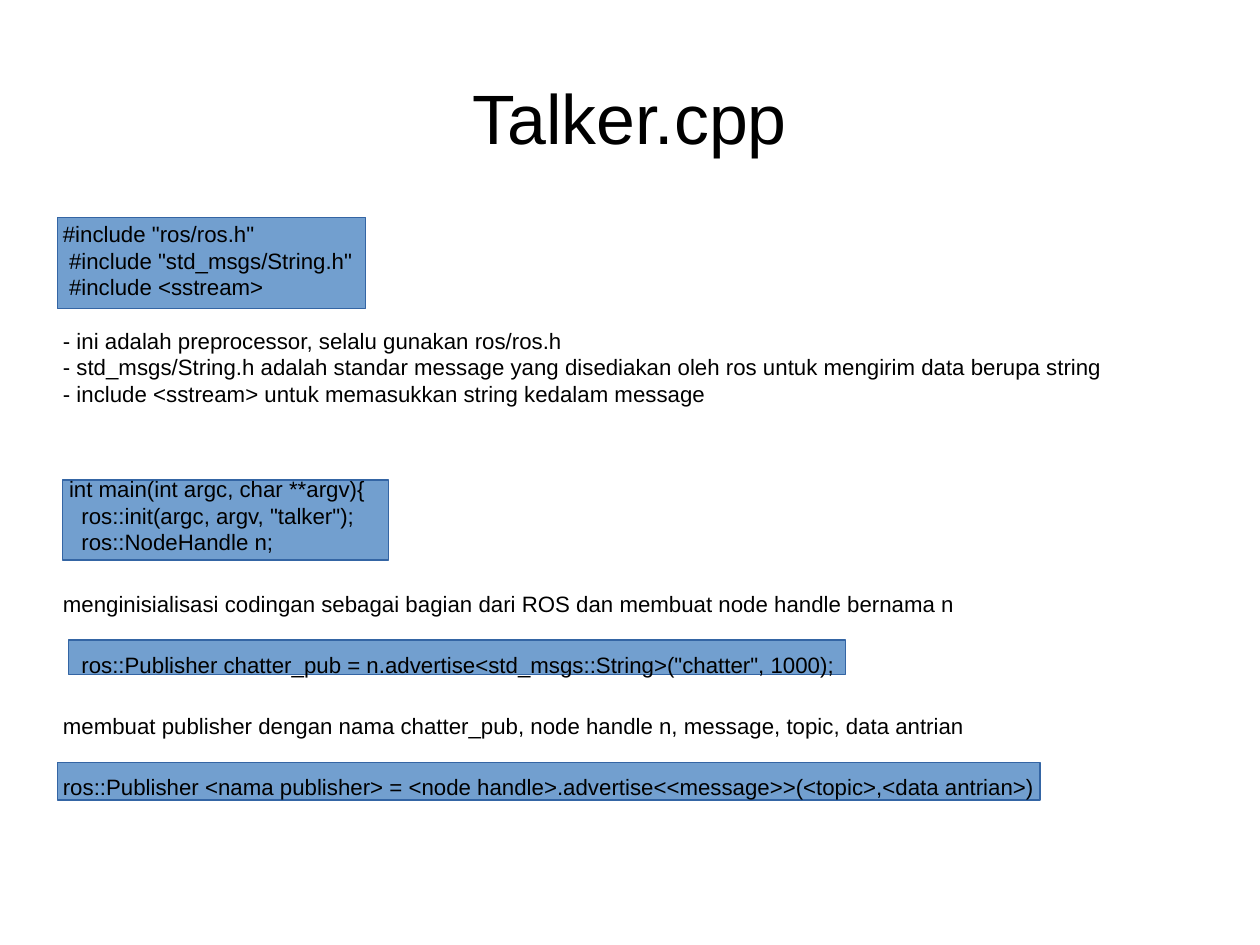
from dataclasses import dataclass

from pptx import Presentation
from pptx import util as u
from pptx.dml.color import RGBColor
from pptx.enum import shapes, text

COLORS = {"ink": "000000", "fill": "729FCF", "line": "3465A4", "page": "FFFFFF"}
FONT = "Arial"
CELL = 0.05  # inches per grid column and row
LINE = 16.75  # points per text line
GAP = 21.7  # points between code and explanation
SPACE = 3.89  # points per indent step of code


@dataclass
class Area:
    column: float
    row: float
    columns: float
    rows: float

    def box(self) -> list[int]:
        return [u.Inches(cells * CELL)
                for cells in (self.column, self.row, self.columns, self.rows)]


@dataclass
class Block:
    lines: list[str]
    indents: list[int]
    gap: float = GAP


TITLE = Area(11, 6.6, 198.4, 27.6)
BODY = Area(11, 38.6, 198.4, 95.8)

HIGHLIGHTS = [
    Area(10, 38, 54, 16),
    Area(11, 84, 57, 14),
    Area(12, 112, 136, 6),
    Area(10, 133.4, 172, 6.6),
]

BLOCKS = [
    Block(['#include "ros/ros.h"',
           '#include "std_msgs/String.h"',
           '#include <sstream>'], [0, 1, 1], gap=0),
    Block(["- ini adalah preprocessor, selalu gunakan ros/ros.h",
           "- std_msgs/String.h adalah standar message yang disediakan oleh ros "
           "untuk mengirim data berupa string",
           "- include <sstream> untuk memasukkan string kedalam message"],
          [0, 0, 0], gap=LINE),
    Block(["int main(int argc, char **argv){",
           'ros::init(argc, argv, "talker");',
           "ros::NodeHandle n;"], [1, 3, 3], gap=2 * GAP),
    Block(["menginisialisasi codingan sebagai bagian dari ROS dan membuat "
           "node handle bernama n"], [0]),
    Block(['ros::Publisher chatter_pub = '
           'n.advertise<std_msgs::String>("chatter", 1000);'], [3]),
    Block(["membuat publisher dengan nama chatter_pub, node handle n, message, "
           "topic, data antrian"], [0]),
    Block(["ros::Publisher <nama publisher> = "
           "<node handle>.advertise<<message>>(<topic>,<data antrian>)"], [0]),
]


def color(name: str) -> RGBColor:
    return RGBColor.from_string(COLORS[name])


def write(paragraph, words: str, *, size: float, align=text.PP_ALIGN.LEFT,
          before: float = 0, indent: float = 0, line: float | None = None) -> None:
    run = paragraph.add_run()
    run.text = words
    run.font.name = FONT
    run.font.size = u.Pt(size)
    run.font.color.rgb = color("ink")
    paragraph.alignment = align
    paragraph.space_before = u.Pt(before)
    paragraph.space_after = u.Pt(0)
    if line:
        paragraph.line_spacing = u.Pt(line)
    if indent:
        paragraph._p.get_or_add_pPr().set("marL", str(u.Pt(indent)))


def set_frame(frame, anchor) -> None:
    frame.margin_left = frame.margin_right = 0
    frame.margin_top = frame.margin_bottom = 0
    frame.word_wrap = True
    frame.auto_size = text.MSO_AUTO_SIZE.NONE
    frame.vertical_anchor = anchor


def add_title(slide, words: str) -> None:
    title = slide.shapes.title
    title.left, title.top, title.width, title.height = TITLE.box()
    set_frame(title.text_frame, text.MSO_ANCHOR.MIDDLE)
    write(title.text_frame.paragraphs[0], words, size=44,
          align=text.PP_ALIGN.CENTER)


def add_highlight(slide, area: Area) -> None:
    shape = slide.shapes.add_shape(shapes.MSO_SHAPE.RECTANGLE, *area.box())
    shape.shadow.inherit = False
    shape.fill.solid()
    shape.fill.fore_color.rgb = color("fill")
    shape.line.color.rgb = color("line")
    shape.line.width = u.Pt(0.75)


def add_body(slide, blocks: list[Block]) -> None:
    frame = slide.shapes.add_textbox(*BODY.box()).text_frame
    set_frame(frame, text.MSO_ANCHOR.TOP)
    paragraph = frame.paragraphs[0]
    for block in blocks:
        for number, (words, steps) in enumerate(zip(block.lines, block.indents)):
            if paragraph.runs:
                paragraph = frame.add_paragraph()
            write(paragraph, words, size=14, line=LINE, indent=steps * SPACE,
                  before=0 if number else block.gap)


def main() -> None:
    presentation = Presentation()
    presentation.slide_width = u.Cm(28)
    presentation.slide_height = u.Cm(21)
    slide = presentation.slides.add_slide(presentation.slide_layouts[5])
    slide.background.fill.solid()
    slide.background.fill.fore_color.rgb = color("page")

    # Heading
    add_title(slide, "Talker.cpp")

    # Code highlights behind the text
    for area in HIGHLIGHTS:
        add_highlight(slide, area)

    # Code and explanations
    add_body(slide, BLOCKS)
    presentation.save("out.pptx")


if __name__ == "__main__":
    main()
